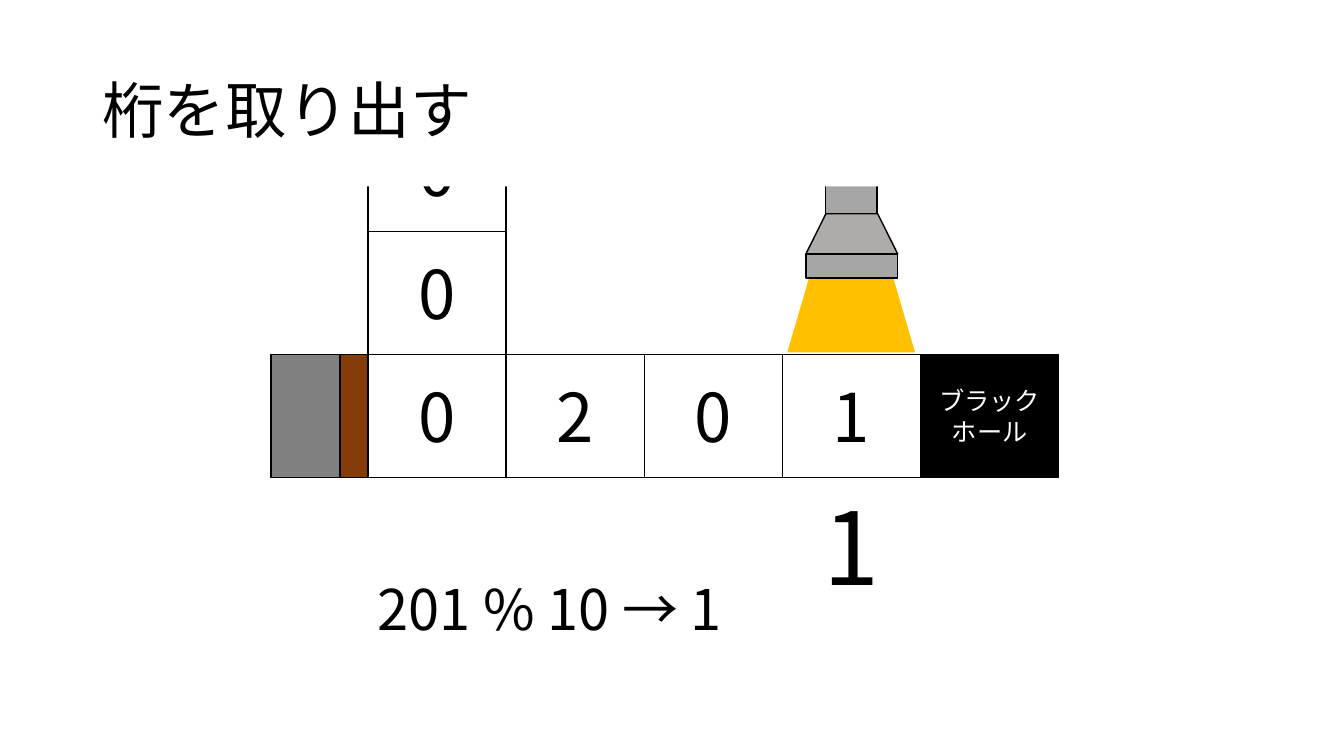
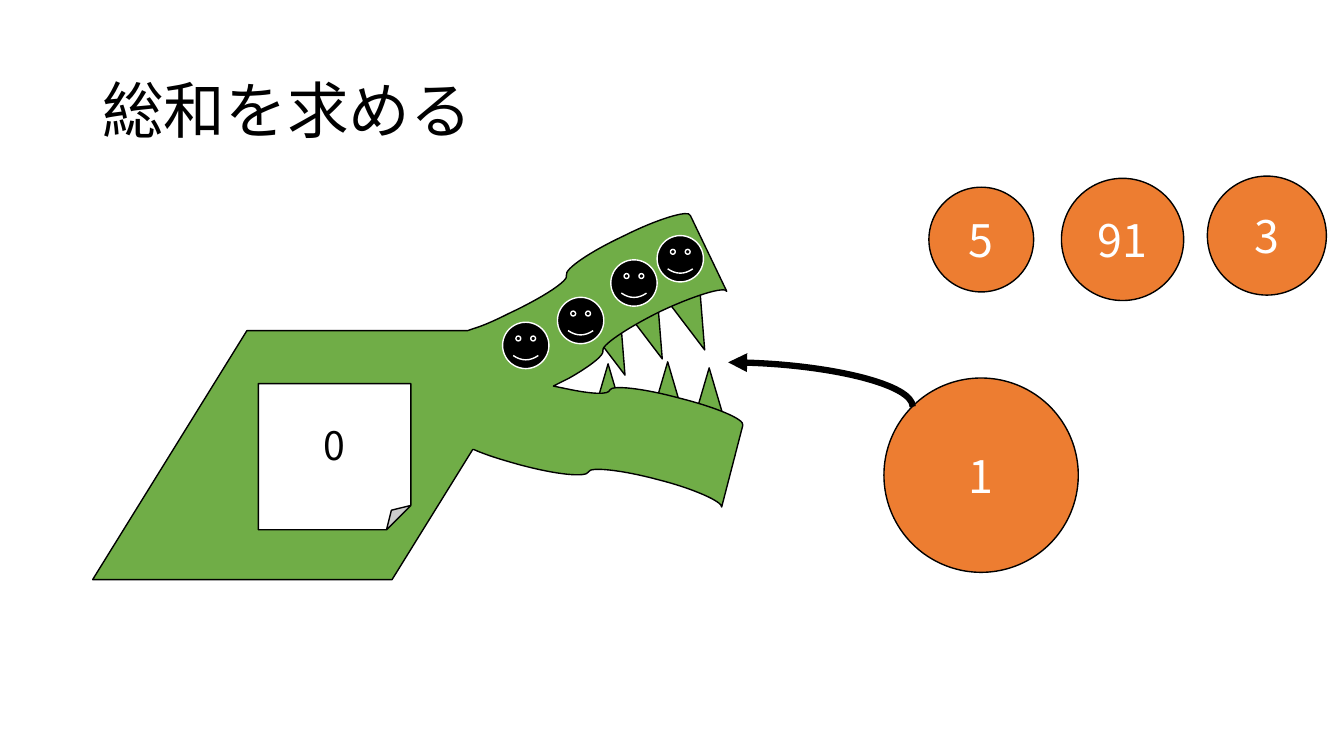
"""Build two slides: extracting a digit with a lamp, and a creature that sums numbers."""
from lxml import etree
from pptx import Presentation
from pptx.dml.color import RGBColor
from pptx.enum.shapes import MSO_CONNECTOR, MSO_SHAPE
from pptx.enum.text import MSO_ANCHOR, PP_ALIGN
from pptx.oxml.ns import qn
from pptx.util import Pt

RECTANGLE = MSO_SHAPE.RECTANGLE
TRAPEZOID = MSO_SHAPE.TRAPEZOID
TRIANGLE = MSO_SHAPE.ISOSCELES_TRIANGLE
SMILEY = MSO_SHAPE.SMILEY_FACE
FOLDED = MSO_SHAPE.FOLDED_CORNER
OVAL = MSO_SHAPE.OVAL
CURVE = MSO_CONNECTOR.CURVE
LEFT, CENTER = PP_ALIGN.LEFT, PP_ALIGN.CENTER
TOP, MIDDLE = MSO_ANCHOR.TOP, MSO_ANCHOR.MIDDLE

FONT = "Noto Sans CJK JP"
COLORS = {
    "white": "FFFFFF", "black": "000000", "light": "FFC000", "wall": "808080",
    "lamp": "A6A6A6", "shade": "AFABAB", "piston": "843C0B",
    "creature": "70AD47", "ball": "ED7D31",
}


def paint(shape, fill, line="black"):
    shape.shadow.inherit = False
    shape.fill.solid()
    shape.fill.fore_color.rgb = RGBColor.from_string(COLORS[fill])
    shape.line.color.rgb = RGBColor.from_string(COLORS[line])
    shape.line.width = Pt(1)
    return shape


def write(shape, text, size, color="black", align=CENTER, anchor=MIDDLE):
    frame = shape.text_frame
    frame.word_wrap = True
    frame.vertical_anchor = anchor
    paragraph = frame.paragraphs[0]
    paragraph.alignment = align
    run = paragraph.add_run()
    run.text = text
    run.font.size = Pt(size)
    run.font.name = FONT
    run.font.color.rgb = RGBColor.from_string(COLORS[color])
    etree.SubElement(run.font._element, qn("a:ea")).set("typeface", FONT)
    return paragraph


presentation = Presentation()
presentation.slide_width, presentation.slide_height = Pt(960), Pt(540)
blank = presentation.slide_layouts[6]
digit_slide = presentation.slides.add_slide(blank)
sum_slide = presentation.slides.add_slide(blank)

shapes = digit_slide.shapes
beam = paint(shapes.add_shape(TRAPEZOID, Pt(563), Pt(198), Pt(90), Pt(53.3)), "light", "light")
beam.adjustments[0] = 0.293
result = shapes.add_textbox(Pt(558.7), Pt(342.7), Pt(98.6), Pt(94.3))
write(result, "1", 72, anchor=TOP)

cell_left, cell_top, cell_width, cell_height = 262.8, 253.2, 98.7, 87.8
cells = [
    (1, 0, "2", 48, "white", "black"),
    (4, 0, "ブラックホール", 18, "black", "white"),
    (2, 0, "0", 48, "white", "black"),
    (3, 0, "1", 48, "white", "black"),
    (0, 1, "0", 48, "white", "black"),
    (0, 2, "0", 48, "white", "black"),
    (0, 0, "0", 48, "white", "black"),
]
for column, level, text, size, fill, color in cells:
    cell = shapes.add_shape(
        RECTANGLE, Pt(cell_left + column * cell_width), Pt(cell_top - level * cell_height),
        Pt(cell_width), Pt(cell_height))
    write(paint(cell, fill), text, size, color)

for left, width, fill in [(193.7, 49.5, "wall"), (242.9, 19.9, "piston")]:
    paint(shapes.add_shape(RECTANGLE, Pt(left), Pt(cell_top), Pt(width), Pt(cell_height)), fill)

lamp = shapes.add_group_shape()
lamp_parts = [
    (TRAPEZOID, 575.7, 152.6, 65.5, 28.8, "shade"),
    (RECTANGLE, 589.7, 80.6, 36.7, 72, "lamp"),
    (RECTANGLE, 575.7, 181.4, 65.5, 17.3, "lamp"),
]
for kind, left, top, width, height, fill in lamp_parts:
    part = paint(lamp.shapes.add_shape(kind, Pt(left), Pt(top), Pt(width), Pt(height)), fill)
    if kind == TRAPEZOID:
        part.adjustments[0] = 0.497

shapes = sum_slide.shapes
teeth = [
    (488.2, 262.8, 0), (458.6, 258.5, 0), (416, 259.9, 0),
    (473.8, 189.4, 159.1), (443.5, 195.8, 159.1), (416.9, 207.4, 159.1),
]
for left, top, rotation in teeth:
    tooth = paint(shapes.add_shape(TRIANGLE, Pt(left), Pt(top), Pt(36.7), Pt(62.6)), "creature")
    tooth.rotation = rotation

titles = [(digit_slide, "桁を取り出す", True), (sum_slide, "総和を求める", False)]
for slide, text, covers in titles:
    title = slide.shapes.add_textbox(Pt(66), Pt(28.75), Pt(828), Pt(104.4))
    if covers:
        title.fill.solid()
        title.fill.fore_color.rgb = RGBColor.from_string(COLORS["white"])
    write(title, text, 44, align=LEFT).line_spacing = 0.9

formula = digit_slide.shapes.add_textbox(Pt(262.8), Pt(406.5), Pt(370.8), Pt(55.4))
write(formula, "201 % 10 → 1", 40, align=LEFT, anchor=TOP)

start = (488.9, 152.6)
outline = [
    (491, 152.6, 493.2, 152.6, 493.2, 154.1),
    (519.1, 208.1),
    (517.7, 204.5, 496.1, 211, 471.6, 222.5),
    (447.1, 234.7, 429.1, 247, 430.6, 250.6),
    (432, 253.4, 421.9, 261.4, 406.8, 270),
    (395.3, 275.8),
    (405.4, 277.9),
    (422.6, 281.5, 434.9, 282.2, 435.6, 278.6),
    (437, 275, 458.6, 277.2, 485.3, 284.4),
    (511.2, 290.9, 532.1, 299.5, 530.6, 303.8),
    (515.5, 362.2),
    (516.2, 358.6, 496.1, 349.2, 470.2, 342.7),
    (443.5, 335.5, 421.2, 333.4, 420.5, 337),
    (419, 341.3, 397.4, 339.1, 370.8, 331.9),
    (357.8, 328.3, 346.3, 324.7, 338.4, 321.1),
    (337.7, 321.1),
    (280.1, 414),
    (66.2, 414),
    (176.4, 236.2),
    (334.1, 236.2),
    (338.4, 234.7),
    (345.6, 232.6, 355, 228.2, 363.6, 223.9),
    (388.1, 212.4, 406.8, 200.2, 404.6, 196.6),
    (403.2, 192.2, 421.2, 180, 445.7, 168.5),
    (464.4, 159.1, 481, 153.4, 488.9, 152.6),
]
builder = shapes.build_freeform(Pt(start[0]), Pt(start[1]))
builder.add_line_segments([(Pt(x), Pt(y)) for *_, x, y in outline], close=True)
creature = paint(builder.convert_to_shape(), "creature")
edges = list(creature._element.iter(qn("a:lnTo")))
for edge, segment in zip(edges, outline):
    if len(segment) == 6:
        edge.tag = qn("a:cubicBezTo")
        for index in (0, 1):
            control = etree.Element(qn("a:pt"))
            control.set("x", str(Pt(segment[2 * index]) - creature.left))
            control.set("y", str(Pt(segment[2 * index + 1]) - creature.top))
            edge.insert(index, control)

for left, top in [(359, 230.2), (398.2, 212.4), (436.3, 185.6), (469.4, 168.3)]:
    paint(shapes.add_shape(SMILEY, Pt(left), Pt(top), Pt(33.1), Pt(33.1)), "black", "white")

note = paint(shapes.add_shape(FOLDED, Pt(184.5), Pt(274), Pt(109), Pt(104.4)), "white")
write(note, "0", 28)

balls = [
    ("1", 631.4, 270, 138.8), ("5", 663.5, 133.7, 74.8),
    ("91", 758.2, 127.4, 87.3), ("3", 862.4, 125.8, 85),
]
for text, left, top, diameter in balls:
    ball = shapes.add_shape(OVAL, Pt(left), Pt(top), Pt(diameter), Pt(diameter))
    write(paint(ball, "ball"), text, 32, "white")

arrow = shapes.add_connector(CURVE, Pt(570.2), Pt(340.6), Pt(601.9), Pt(208.8))
arrow.line.color.rgb = RGBColor.from_string(COLORS["black"])
arrow.line.width = Pt(4.5)
properties = arrow._element.spPr
properties.find(qn("a:xfrm")).set("rot", str(270 * 60000))
properties.find(qn("a:prstGeom")).set("prst", "curvedConnector2")
etree.SubElement(properties.find(qn("a:ln")), qn("a:tailEnd")).set("type", "triangle")
etree.SubElement(properties, qn("a:effectLst"))

presentation.save("out.pptx")
